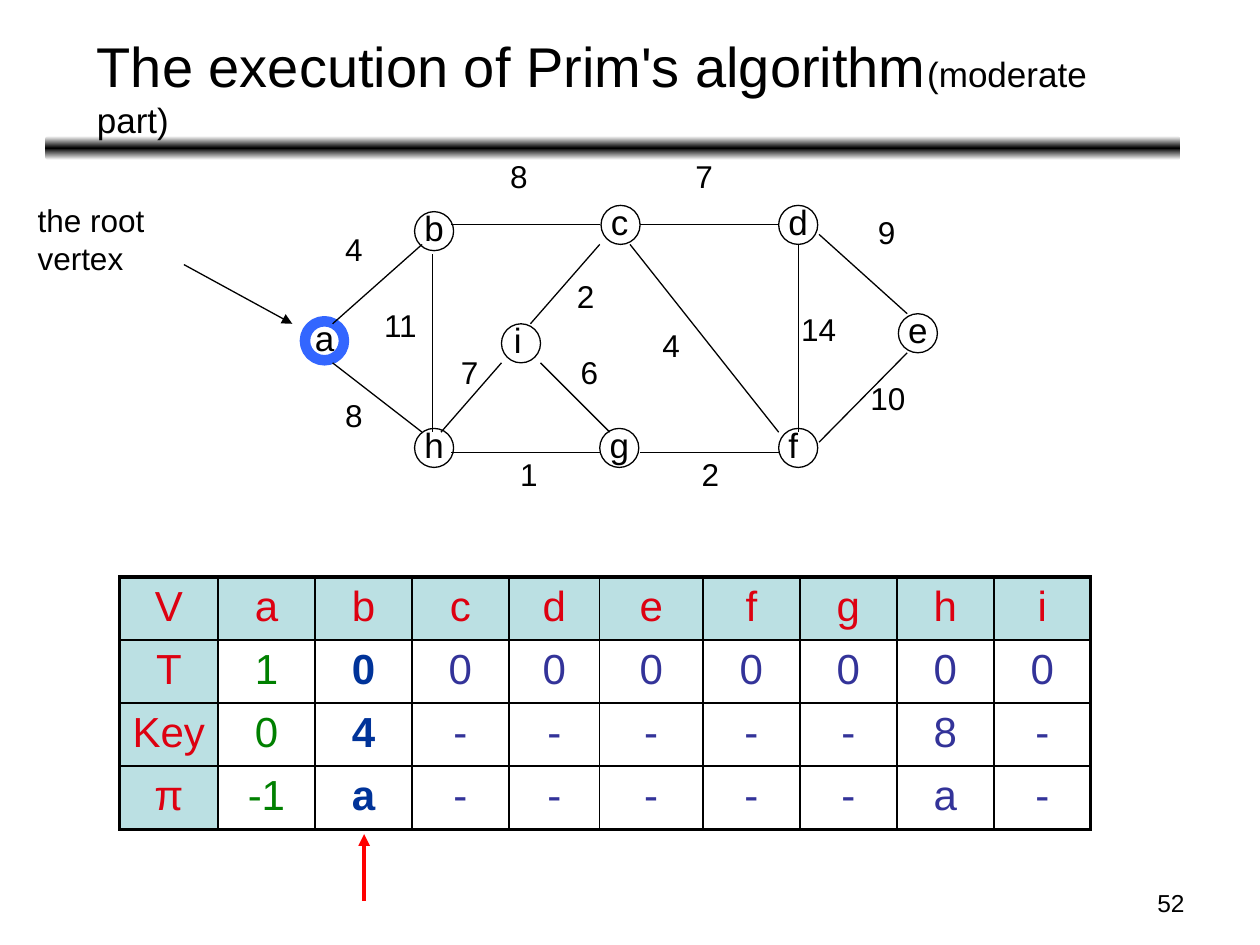
from copy import deepcopy
from dataclasses import dataclass

from lxml import etree
from pptx import Presentation
from pptx.dml.color import RGBColor
from pptx.enum.shapes import MSO_CONNECTOR, MSO_SHAPE
from pptx.enum.text import PP_ALIGN
from pptx.oxml.ns import qn
from pptx.util import Inches, Pt

STRAIGHT = MSO_CONNECTOR.STRAIGHT
OVAL = MSO_SHAPE.OVAL
ROUNDED = MSO_SHAPE.ROUNDED_RECTANGLE
LEFT, CENTER, RIGHT = PP_ALIGN.LEFT, PP_ALIGN.CENTER, PP_ALIGN.RIGHT
FONT = "Arial"
COLORS = {
    "black": "000000", "white": "FFFFFF", "root": "3366FF", "arrow": "FF0000",
    "header_fill": "BBE0E3", "header": "DD0111", "done": "008000",
    "current": "003399", "waiting": "333399",
}
NODE_SIZE = 0.31


@dataclass
class Node:
    name: str
    left: float
    top: float
    color: str = "black"
    line_width: float = 0.75
    label_shift: float = -0.02


@dataclass
class Line:
    start: tuple[float, float]
    end: tuple[float, float]
    color: str = "black"
    width: float = 0.75
    arrow: bool = False


@dataclass
class Weight:
    text: str
    left: float
    top: float


NODES = [
    Node("a", 2.42, 2.55, "root", 6), Node("b", 3.29, 1.68),
    Node("h", 3.29, 3.4), Node("c", 4.77, 1.63), Node("d", 6.18, 1.63),
    Node("e", 7.13, 2.49), Node("f", 6.18, 3.4), Node("g", 4.76, 3.4),
    Node("i", 3.98, 2.57, label_shift=0),
]
EDGES = [
    Line((2.64, 2.57), (3.35, 1.94)),  # a-b
    Line((2.64, 2.88), (3.35, 3.43)),  # a-h
    Line((3.43, 2.02), (3.43, 3.43)),  # b-h
    Line((3.58, 1.78), (4.76, 1.78)),  # b-c
    Line((3.58, 3.59), (4.76, 3.59)),  # h-g
    Line((5.08, 3.59), (6.18, 3.59)),  # g-f
    Line((5, 1.94), (6.18, 3.43)),  # c-f
    Line((5.08, 1.78), (6.18, 1.78)),  # c-d
    Line((6.34, 1.94), (6.34, 3.43)),  # d-f
    Line((6.5, 1.86), (7.2, 2.49)),  # d-e
    Line((6.5, 3.51), (7.2, 2.8)),  # f-e
    Line((4.29, 2.88), (4.84, 3.43)),  # i-g
    Line((3.5, 3.43), (3.98, 2.88)),  # h-i
    Line((4.21, 2.57), (4.76, 1.94)),  # i-c
]
WEIGHTS = [
    Weight("4", 2.64, 1.78), Weight("8", 3.95, 1.2), Weight("7", 5.42, 1.2),
    Weight("9", 6.87, 1.64), Weight("10", 6.81, 2.96), Weight("14", 6.26, 2.41),
    Weight("4", 5.16, 2.54), Weight("2", 4.48, 2.15), Weight("2", 5.47, 3.56),
    Weight("6", 4.51, 2.75), Weight("1", 4.03, 3.56), Weight("7", 3.56, 2.75),
    Weight("11", 2.95, 2.38), Weight("8", 2.64, 3.09),
]
ROOT_ARROW = Line((1.46, 2.1), (2.32, 2.57), arrow=True)
CURRENT_ARROW = Line((2.89, 7.15), (2.89, 6.62), "arrow", 2.25, True)
COLUMN_WIDTHS = [0.78, 0.77, 0.77, 0.77, 0.72, 0.82, 0.77, 0.77, 0.77, 0.77]
ROW_HEIGHT = 0.5
TABLE_ROWS = [
    ["V", "a", "b", "c", "d", "e", "f", "g", "h", "i"],
    ["T", "1", "0", "0", "0", "0", "0", "0", "0", "0"],
    ["Key", "0", "4", "-", "-", "-", "-", "-", "8", "-"],
    ["π", "-1", "a", "-", "-", "-", "-", "-", "a", "-"],
]


def rgb(name: str) -> RGBColor:
    return RGBColor.from_string(COLORS[name])


def add_run(paragraph, text: str, size: float, color: str = "black", bold: bool = False) -> None:
    run = paragraph.add_run()
    run.text = text
    run.font.name = FONT
    run.font.size = Pt(size)
    run.font.bold = bold
    run.font.color.rgb = rgb(color)


def add_text(slide, left: float, top: float, width: float, height: float,
             runs: list[tuple[str, float]], align=LEFT) -> None:
    box = slide.shapes.add_textbox(Inches(left), Inches(top), Inches(width), Inches(height))
    box.text_frame.word_wrap = True
    paragraph = box.text_frame.paragraphs[0]
    paragraph.alignment = align
    for text, size in runs:
        add_run(paragraph, text, size)


def add_line(slide, line: Line) -> None:
    connector = slide.shapes.add_connector(
        STRAIGHT, *(Inches(value) for value in line.start + line.end))
    connector.line.color.rgb = rgb(line.color)
    connector.line.width = Pt(line.width)
    properties = connector._element.spPr
    if line.arrow:
        etree.SubElement(properties.find(qn("a:ln")), qn("a:tailEnd"), type="triangle")
    etree.SubElement(properties, qn("a:effectLst"))


def add_node(slide, node: Node) -> None:
    add_text(slide, node.left + node.label_shift, node.top - 0.09, 0.34, 0.43, [(node.name, 20)])
    circle = slide.shapes.add_shape(
        OVAL, Inches(node.left), Inches(node.top), Inches(NODE_SIZE), Inches(NODE_SIZE))
    circle.shadow.inherit = False
    circle.fill.background()
    circle.line.color.rgb = rgb(node.color)
    circle.line.width = Pt(node.line_width)


def add_title_bar(slide) -> None:
    bar = slide.shapes.add_shape(ROUNDED, Inches(0.36), Inches(1.08), Inches(9.01), Inches(0.19))
    bar.shadow.inherit = False
    bar.line.fill.background()
    bar.fill.gradient()
    bar.fill.gradient_angle = 90
    stop_list = bar._element.spPr.find(qn("a:gradFill")).find(qn("a:gsLst"))
    stop_list.append(deepcopy(stop_list[0]))
    for stop, position, color in zip(bar.fill.gradient_stops, (0, 0.5, 1), ("white", "black", "white")):
        stop.position = position
        stop.color.rgb = rgb(color)


def set_borders(cell, widths: dict[str, float]) -> None:
    properties = cell._tc.get_or_add_tcPr()
    for side, width in widths.items():
        border = etree.SubElement(properties, qn(f"a:ln{side}"), w=str(Pt(width)))
        fill = etree.SubElement(border, qn("a:solidFill"))
        etree.SubElement(fill, qn("a:srgbClr"), val=COLORS["black"])


def add_state_table(slide) -> None:
    last_row, last_column = len(TABLE_ROWS) - 1, len(COLUMN_WIDTHS) - 1
    table = slide.shapes.add_table(
        last_row + 1, last_column + 1, Inches(0.95), Inches(4.58),
        Inches(sum(COLUMN_WIDTHS)), Inches(ROW_HEIGHT * len(TABLE_ROWS))).table
    table.first_row = table.horz_banding = False
    for column, width in zip(table.columns, COLUMN_WIDTHS):
        column.width = Inches(width)
    column_colors = ["header", "done", "current"]
    for row_index, row in enumerate(TABLE_ROWS):
        table.rows[row_index].height = Inches(ROW_HEIGHT)
        for column_index, text in enumerate(row):
            cell = table.cell(row_index, column_index)
            outer = {"L": column_index == 0, "R": column_index == last_column,
                     "T": row_index == 0, "B": row_index == last_row}
            set_borders(cell, {side: 2.25 if edge else 1 for side, edge in outer.items()})
            is_header = row_index == 0 or column_index == 0
            if is_header:
                cell.fill.solid()
                cell.fill.fore_color.rgb = rgb("header_fill")
                color = "header"
            else:
                cell.fill.background()
                color = column_colors[column_index] if column_index < 3 else "waiting"
            paragraph = cell.text_frame.paragraphs[0]
            paragraph.alignment = CENTER
            add_run(paragraph, text, 24, color, color == "current")


def main() -> None:
    presentation = Presentation()
    presentation.slide_width, presentation.slide_height = Inches(10), Inches(7.5)
    slide = presentation.slides.add_slide(presentation.slide_layouts[6])

    # Title bar and slide number
    add_title_bar(slide)
    add_text(slide, 7.17, 7, 2.33, 0.35, [("52", 14)], RIGHT)

    # Weighted graph
    for node in NODES:
        add_node(slide, node)
    for edge in EDGES:
        add_line(slide, edge)
    for weight in WEIGHTS:
        width = 0.37 if len(weight.text) == 1 else 0.53
        add_text(slide, weight.left, weight.top, width, 0.5, [(weight.text, 18)])

    # Title and root note
    add_text(slide, 0.67, 0.2, 8.58, 0.63,
             [("The execution of Prim's algorithm", 32), ("(moderate part)", 20)])
    add_text(slide, 0.2, 1.55, 1.34, 0.9, [("the root vertex", 18)])
    add_line(slide, ROOT_ARROW)

    # State of the algorithm
    add_state_table(slide)
    add_line(slide, CURRENT_ARROW)
    presentation.save("out.pptx")


if __name__ == "__main__":
    main()
